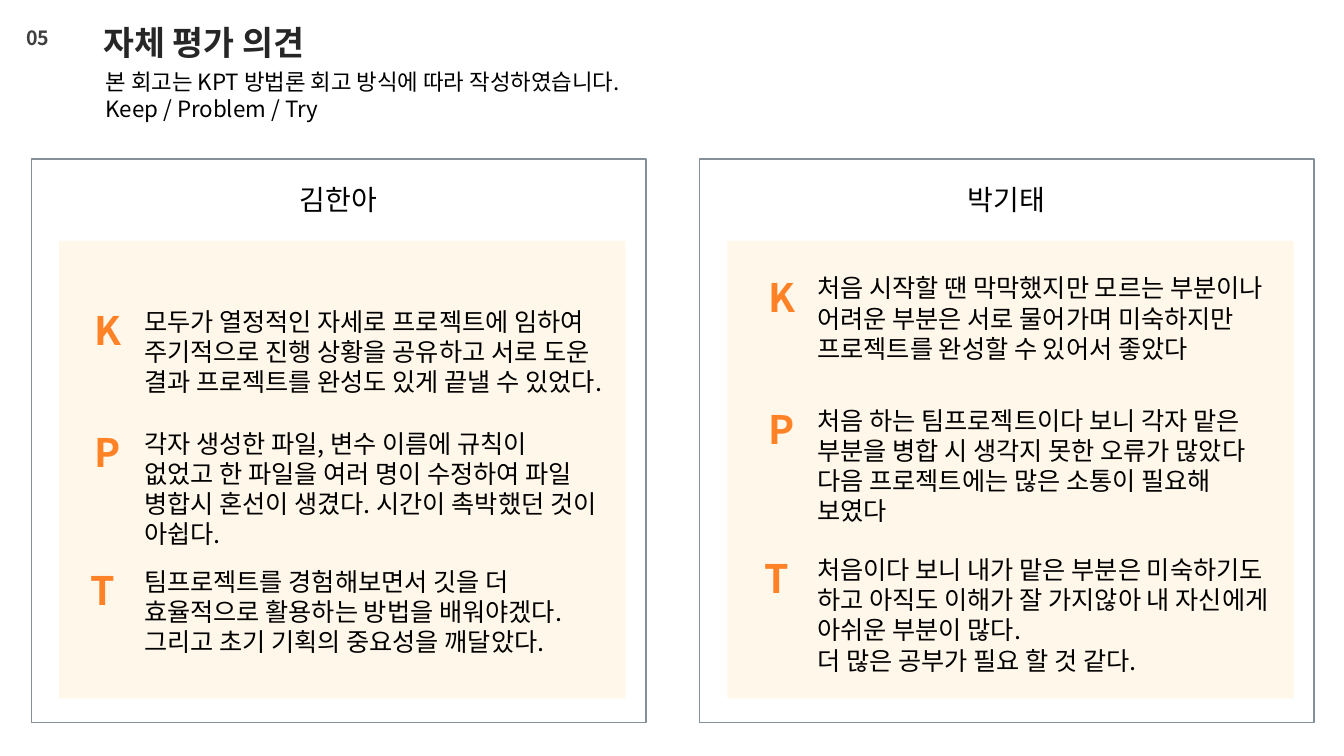
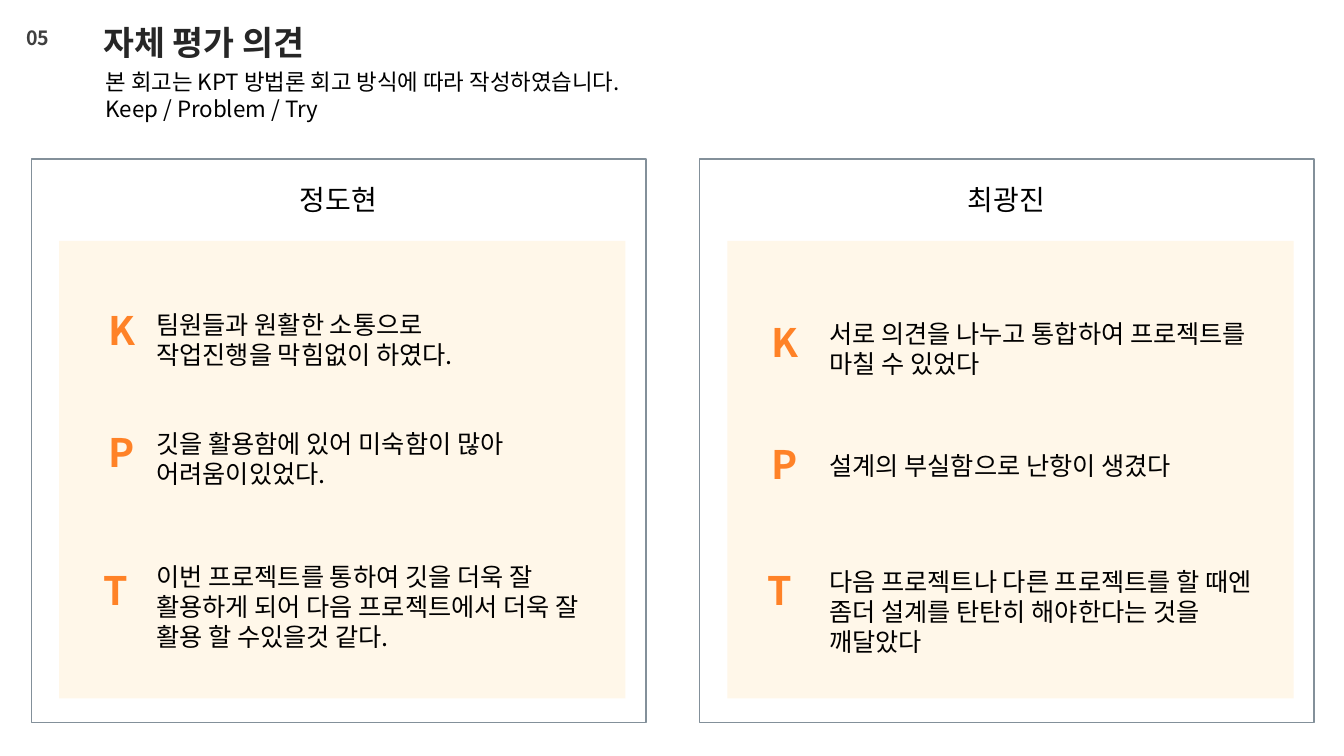
import collections

import lxml.etree
import pptx
import pptx.dml.color
import pptx.enum.shapes
import pptx.enum.text
import pptx.oxml.ns
import pptx.util

Cm = pptx.util.Cm
RGBColor = pptx.dml.color.RGBColor
LEFT = pptx.enum.text.PP_ALIGN.LEFT
CENTER = pptx.enum.text.PP_ALIGN.CENTER

FONT = "Noto Sans CJK KR"
BLACK = RGBColor(0x00, 0x00, 0x00)
TITLE_GREY = RGBColor(0x26, 0x26, 0x26)
NUMBER_GREY = RGBColor(0x3F, 0x3F, 0x3F)
BORDER_GREY = RGBColor(0x83, 0x90, 0x9A)
CREAM = RGBColor(0xFF, 0xF7, 0xE9)
ORANGE = RGBColor(0xFF, 0x82, 0x27)

CARD_LEFTS = (0.79, 17.63)
CARD_TOP, CARD_WIDTH, CARD_HEIGHT = 4.01, 15.49, 14.2
LETTER_WIDTHS = {"K": 0.89, "P": 0.89, "T": 1.19}

Review = collections.namedtuple("Review", "name letter_center text_left entries")
Entry = collections.namedtuple("Entry", "letter letter_top text_top lines text")

PAGES = [
    [
        Review("김한아", 1.79, 2.59, [
            Entry("K", 3.58, 3.58, 3, "모두가 열정적인 자세로 프로젝트에 임하여 주기적으로 진행 상황을 "
                  "공유하고 서로 도운 결과 프로젝트를 완성도 있게 끝낼 수 있었다."),
            Entry("P", 6.65, 6.65, 4, "각자 생성한 파일, 변수 이름에 규칙이 없었고 한 파일을 여러 명이 "
                  "수정하여 파일 병합시 혼선이 생겼다. 시간이 촉박했던 것이 아쉽다."),
            Entry("T", 10.13, 10.13, 3, "팀프로젝트를 경험해보면서 깃을 더 효율적으로 활용하는 방법을 "
                  "배워야겠다. 그리고 초기 기획의 중요성을 깨달았다."),
        ]),
        Review("박기태", 1.94, 2.72, [
            Entry("K", 2.74, 2.74, 3, "처음 시작할 땐 막막했지만 모르는 부분이나 어려운 부분은 서로 "
                  "물어가며 미숙하지만 프로젝트를 완성할 수 있어서 좋았다"),
            Entry("P", 6.07, 6.07, 4, "처음 하는 팀프로젝트이다 보니 각자 맡은 부분을 병합 시 생각지 못한 "
                  "오류가 많았다 다음 프로젝트에는 많은 소통이 필요해 보였다"),
            Entry("T", 9.83, 9.83, 4, "처음이다 보니 내가 맡은 부분은 미숙하기도 하고 아직도 이해가 잘 "
                  "가지않아 내 자신에게 아쉬운 부분이 많다.\n더 많은 공부가 필요 할 것 같다."),
        ]),
    ],
    [
        Review("정도현", 2.13, 2.9, [
            Entry("K", 3.58, 3.66, 2, "팀원들과 원활한 소통으로\n작업진행을 막힘없이 하였다."),
            Entry("P", 6.65, 6.65, 2, "깃을 활용함에 있어 미숙함이 많아\n어려움이있었다."),
            Entry("T", 10.13, 10.01, 3, "이번 프로젝트를 통하여 깃을 더욱 잘 활용하게 되어 다음 "
                  "프로젝트에서 더욱 잘 활용 할 수있을것 같다."),
        ]),
        Review("최광진", 2.02, 3.02, [
            Entry("K", 3.89, 3.89, 2, "서로 의견을 나누고 통합하여 프로젝트를 마칠 수 있었다"),
            Entry("P", 6.96, 7.21, 1, "설계의 부실함으로 난항이 생겼다"),
            Entry("T", 10.13, 10.13, 3, "다음 프로젝트나 다른 프로젝트를 할 때엔 좀더 설계를 탄탄히 "
                  "해야한다는 것을 깨달았다"),
        ]),
    ],
]


def add_text(page, text, left, top, width, height, size=18, color=BLACK, bold=False, align=LEFT):
    """Add a wrapped text box in centimetres, one paragraph per line of text."""
    box = page.shapes.add_textbox(Cm(left), Cm(top), Cm(width), Cm(height))
    frame = box.text_frame
    frame.word_wrap = True
    frame.auto_size = pptx.enum.text.MSO_AUTO_SIZE.SHAPE_TO_FIT_TEXT
    for index, line in enumerate(text.split("\n")):
        para = frame.add_paragraph() if index else frame.paragraphs[0]
        para.alignment = align
        span = para.add_run()
        span.text = line
        span.font.name = FONT
        span.font.size = pptx.util.Pt(size)
        span.font.bold = bold
        span.font.color.rgb = color
        east_asian = lxml.etree.SubElement(span.font._element, pptx.oxml.ns.qn("a:ea"))
        east_asian.set("typeface", FONT)


def add_rectangle(page, left, top, width, height, fill=None, line=None):
    """Add a rectangle in centimetres with an optional fill and outline."""
    box = page.shapes.add_shape(
        pptx.enum.shapes.MSO_SHAPE.RECTANGLE, Cm(left), Cm(top), Cm(width), Cm(height))
    box.shadow.inherit = False
    if fill is None:
        box.fill.background()
    else:
        box.fill.solid()
        box.fill.fore_color.rgb = fill
    if line is None:
        box.line.fill.background()
    else:
        box.line.color.rgb = line
        box.line.width = pptx.util.Pt(1)


def add_header(page, left, top):
    """Place the section number, title and introduction."""
    add_text(page, "05", left, top + 0.1, 1.98, 0.86, size=14, color=NUMBER_GREY, bold=True)
    add_text(page, "자체 평가 의견", left + 1.95, top, 6.65, 1.27, size=24, color=TITLE_GREY, bold=True)
    add_text(page, "본 회고는 KPT 방법론 회고 방식에 따라 작성하였습니다.\nKeep / Problem / Try",
             left + 2, top + 1.17, 15.21, 1.63, size=16)


def add_review_card(page, review, left, top, width, height):
    """Place a bordered card with a member's name and their three entries."""
    add_rectangle(page, left, top, width, height, line=BORDER_GREY)
    add_rectangle(page, left + 0.7, top + 2.06, width - 1.22, height - 2.67, fill=CREAM)
    add_text(page, review.name, left + 2.52, top + 0.46, 10.44, 1.12, size=20, align=CENTER)
    for entry in review.entries:
        letter_width = LETTER_WIDTHS[entry.letter]
        add_text(page, entry.letter, left + review.letter_center - letter_width / 2,
                 top + entry.letter_top, letter_width, 1.45,
                 size=28, color=ORANGE, bold=True, align=CENTER)
        add_text(page, entry.text, left + review.text_left, top + entry.text_top,
                 11.99, 0.25 + 0.77 * entry.lines)


def add_review_page(deck, reviews):
    """Add a page with the header and two review cards."""
    page = deck.slides.add_slide(deck.slide_layouts[6])
    add_header(page, 0.41, 0.43)
    for left, review in zip(CARD_LEFTS, reviews):
        add_review_card(page, review, left, CARD_TOP, CARD_WIDTH, CARD_HEIGHT)


def main():
    """Build and save the deck."""
    deck = pptx.Presentation()
    deck.slide_width, deck.slide_height = Cm(33.87), Cm(19.05)
    for reviews in PAGES:
        add_review_page(deck, reviews)
    deck.save("out.pptx")


if __name__ == "__main__":
    main()
